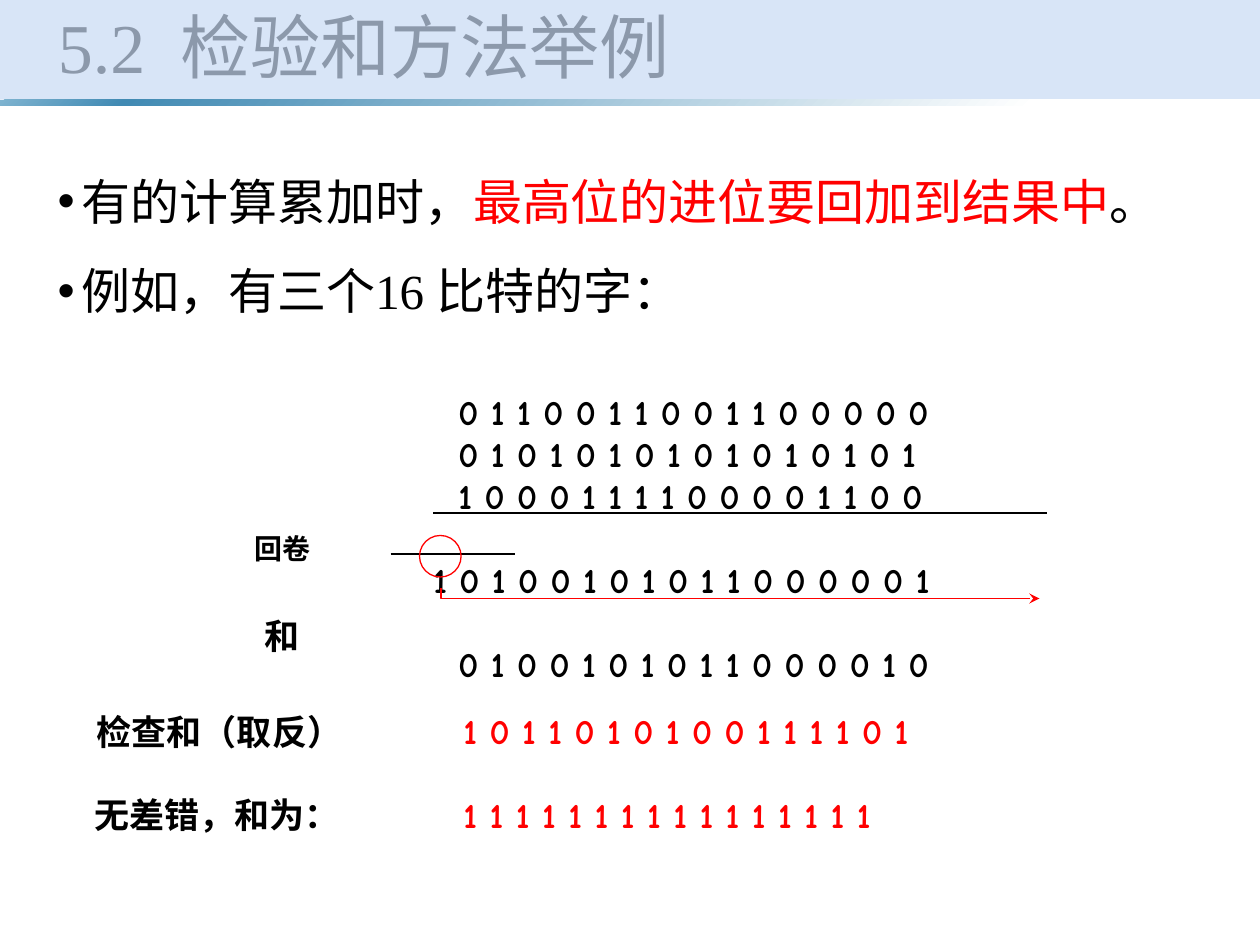
from lxml import etree
from pptx import Presentation
from pptx.dml.color import RGBColor
from pptx.enum.shapes import MSO_CONNECTOR, MSO_SHAPE
from pptx.enum.text import MSO_ANCHOR, PP_ALIGN
from pptx.oxml import parse_xml
from pptx.oxml.ns import nsdecls, qn
from pptx.util import Inches, Pt

RECT, OVAL = MSO_SHAPE.RECTANGLE, MSO_SHAPE.OVAL
LINE = MSO_CONNECTOR.STRAIGHT
MID, TOP, LEFT = MSO_ANCHOR.MIDDLE, MSO_ANCHOR.TOP, PP_ALIGN.LEFT
HUES = {"ink": "000000", "red": "FF0000", "band": "C8DAF4",
        "sky": "7EB3D0", "sea": "418AB3", "white": "FFFFFF"}
SERIF, SANS, COMIC, HAN = "Times New Roman", "Calibri", "Comic Neue", "Noto Sans CJK SC"
COLS, ROWS = 100, 75


class Board:
    def __init__(self):
        self.deck = Presentation()
        self.deck.slide_width, self.deck.slide_height = Inches(10), Inches(7.5)
        self.slide = self.deck.slides.add_slide(self.deck.slide_layouts[5])
        self.shapes = self.slide.shapes

    def grid(self, *spots):
        sides = (self.deck.slide_width / COLS, self.deck.slide_height / ROWS)
        return [round(spot * sides[i % 2]) for i, spot in enumerate(spots)]

    def hue(self, name):
        return RGBColor.from_string(HUES[name])

    def style(self, para, size, font, hue="ink", bold=False):
        para.alignment = LEFT
        for run in para.runs:
            face = run.font
            face.size, face.name, face.bold = Pt(size), font, bold
            face.color.rgb = self.hue(hue)

    def shape(self, kind, box, fill=None, line=None):
        item = self.shapes.add_shape(kind, *self.grid(*box))
        item.shadow.inherit = False
        if fill:
            item.fill.solid()
            item.fill.fore_color.rgb = self.hue(fill)
        else:
            item.fill.background()
        self.edge(item, line, 0.75)
        return item

    def edge(self, item, hue, width):
        if hue:
            item.line.color.rgb = self.hue(hue)
            item.line.width = Pt(width)
        else:
            item.line.fill.background()

    def fade(self, item, alpha):
        tint = item.fill._xPr.find(qn("a:solidFill"))[0]
        etree.SubElement(tint, qn("a:alpha")).set("val", str(alpha * 1000))

    def blend(self, item, stops):
        marks = "".join(f'<a:gs pos="{at * 1000}"><a:srgbClr val="{HUES[name]}"/></a:gs>'
                        for at, name in stops)
        grad = parse_xml(f'<a:gradFill {nsdecls("a")}><a:gsLst>{marks}</a:gsLst>'
                         '<a:lin ang="2700000" scaled="0"/></a:gradFill>')
        props = item._element.spPr
        props.replace(props.find(qn("a:noFill")), grad)

    def title(self, text, box):
        item = self.shapes.title
        item.left, item.top, item.width, item.height = self.grid(*box)
        frame = item.text_frame
        frame.text = text
        frame.vertical_anchor = MID
        frame.paragraphs[0].line_spacing = 0.9
        self.style(frame.paragraphs[0], 40, SERIF)

    def text(self, lines, box, size, font, hue="ink", bold=True, wrap=True):
        frame = self.shapes.add_textbox(*self.grid(*box)).text_frame
        frame.word_wrap = wrap
        frame.vertical_anchor = TOP
        frame.text = "\n".join(lines)
        for para in frame.paragraphs:
            self.style(para, size, font, hue, bold)
        return frame.paragraphs

    def bullet(self, para, indent):
        props = para._p.get_or_add_pPr()
        props.set("marL", str(indent))
        props.set("indent", str(-indent))
        etree.SubElement(props, qn("a:buFont")).set("typeface", "Arial")
        etree.SubElement(props, qn("a:buChar")).set("char", "•")

    def rule(self, left, right, row):
        item = self.shapes.add_connector(LINE, *self.grid(left, row, right, row))
        self.edge(item, "ink", 1.25)
        etree.SubElement(item._element.spPr, qn("a:effectLst"))

    def arrow(self, points):
        start, *rest = [self.grid(*point) for point in points]
        pen = self.shapes.build_freeform(*start)
        pen.add_line_segments(rest, close=False)
        item = pen.convert_to_shape()
        item.shadow.inherit = False
        item.fill.background()
        self.edge(item, "red", 0.75)
        etree.SubElement(item.line._get_or_add_ln(), qn("a:tailEnd")).set("type", "stealth")


def main():
    board = Board()
    band = board.shape(RECT, (0, 0, 100, 7.9), "band")
    board.fade(band, 70)
    strip = board.shape(RECT, (0, 7.9, 100, 0.5))
    board.blend(strip, [(0, "sky"), (10, "sea"), (82, "white"), (96, "white")])
    board.title("5.2  检验和方法举例", (3.6, 0, 93, 8.1))

    points = board.text(["有的计算累加时，", "例如，有三个16 比特的字："],
                        (3.6, 11.7, 90.1, 17.2), 28, SERIF, bold=False)
    for part, hue in (("最高位的进位要回加到结果中", "red"), ("。", "ink")):
        run = points[0].add_run()
        run.text = part
        run.font.size, run.font.name = Pt(28), SERIF
        run.font.color.rgb = board.hue(hue)
    for para in points:
        para.line_spacing, para.space_before = 1.3, Pt(7.5)
        board.bullet(para, Inches(0.19))

    sums = ["0 1 1 0 0 1 1 0 0 1 1 0 0 0 0 0",
            "0 1 0 1 0 1 0 1 0 1 0 1 0 1 0 1",
            "1 0 0 0 1 1 1 1 0 0 0 0 1 1 0 0",
            "1 0 1 0 0 1 0 1 0 1 1 0 0 0 0 0 1",
            "0 1 0 0 1 0 1 0 1 1 0 0 0 0 1 0"]
    for i, para in enumerate(board.text(sums, (30, 30.5, 54.9, 29.3), 20, COMIC)):
        carry = len(sums[i]) > len(sums[0])
        para._p.get_or_add_pPr().set("marL", str(Inches(0.34 if carry else 0.54)))
        if i > 2:
            para.space_before = Pt(24)
    board.rule(34.4, 83.1, 40.7)
    board.rule(31, 40.9, 44)

    for label, box, size, font in (
            ("回卷", (19.2, 41.7, 7.5, 3.7), 16, SANS),
            ("和", (20, 48.3, 4.8, 4.3), 20, SANS),
            ("检查和（取反）", (6.7, 55.9, 21.6, 4.3), 20, SANS),
            ("无差错，和为：", (6.5, 62.5, 22.5, 4.3), 20, HAN)):
        board.text([label], box, size, font, wrap=False)
    for bits, row in (("1 0 1 1 0 1 0 1 0 0 1 1 1 1 0 1", 55.8),
                      (" ".join("1" * 16), 62.5)):
        board.text([bits], (35.8, row, 48.3, 4.3), 20, COMIC, "red")

    board.shape(OVAL, (33.3, 42.5, 3.3, 3.3), line="red")
    board.arrow([(35, 46.7), (35, 47.5), (82.5, 47.5)])
    board.deck.save("out.pptx")


if __name__ == "__main__":
    main()
